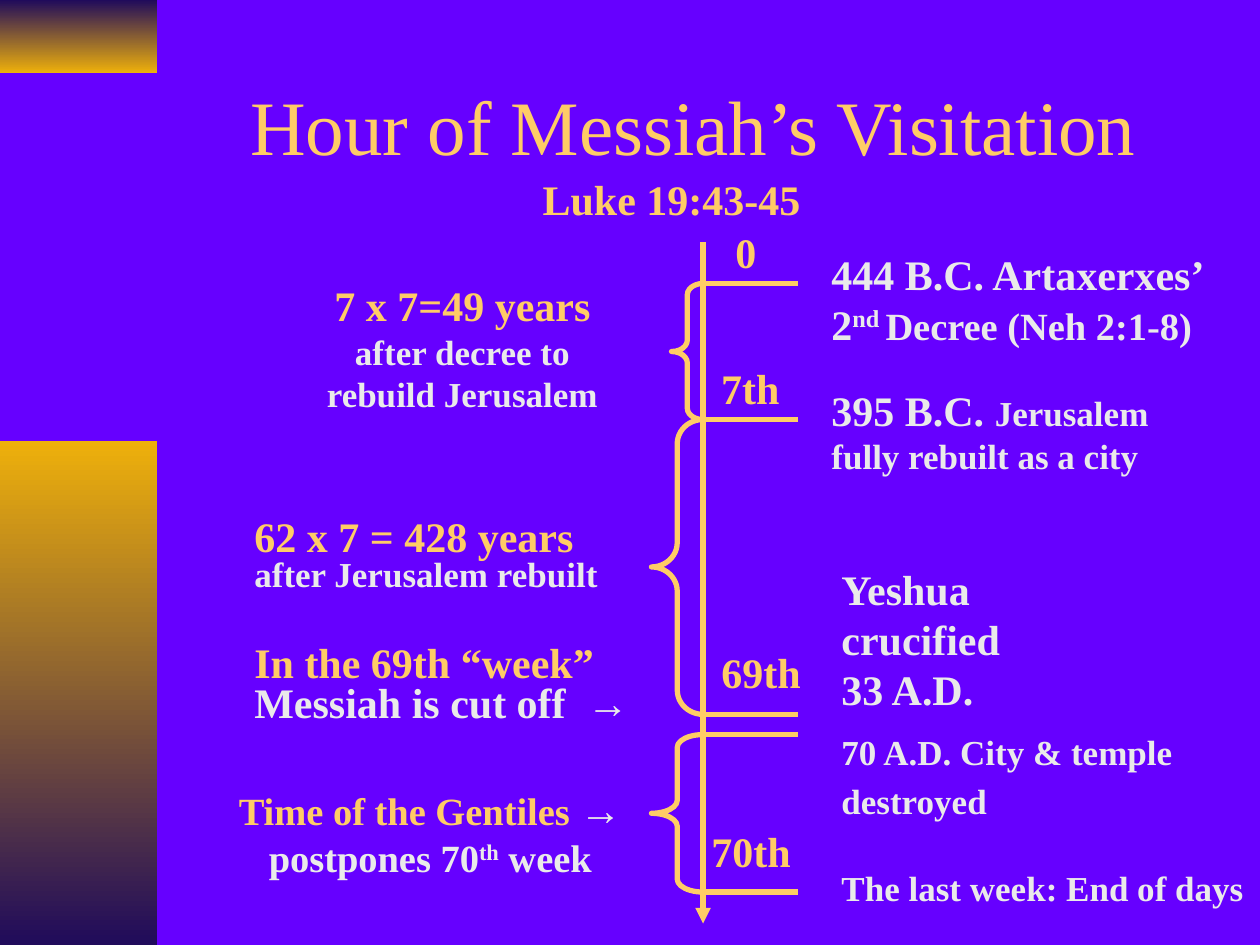
from lxml import etree
from pptx import Presentation
from pptx.dml.color import RGBColor
from pptx.enum import shapes, text
from pptx.oxml.ns import qn
from pptx.util import Inches, Pt

COLORS = {"back": "6600FF", "gold": "FFCC66", "pale": "EAEAEA",
          "amber": "EEB00B", "night": "200B5B"}
FONT = "Times New Roman"
AXIS_X, TICK_END = 5.58, 6.33
AXIS_TOP, AXIS_BOTTOM = 1.92, 7.33

# left, top, width, height, first colour, last colour
BARS = [(0, 0, 1.25, 0.58, "night", "amber"),
        (0, 3.5, 1.25, 4, "amber", "night")]

# left, top, bottom, curvature
PERIODS = [(5.33, 2.25, 3.33, 0.36),
           (5.17, 3.33, 5.67, 0.47),
           (5.17, 5.83, 7.08, 0.25)]

TITLE = (1.33, 0.33, 8.5, 1.32, [("Hour of Messiah’s Visitation ", 44, "gold")])

# left, top, width, height, text
MARKS = [(4.08, 1.33, 2.5, 0.5, "Luke 19:43-45"),
         (5.67, 1.75, 0.5, 0.5, "0"),
         (5.58, 2.83, 0.75, 0.5, "7th"),
         (5.58, 5.08, 0.92, 0.5, "69th"),
         (5.5, 6.5, 0.92, 0.5, "70th")]

# left, top, width, height, runs of (text, size, colour, optional style)
EVENTS = [
    (6.5, 1.92, 3.33, 0.9, [("444 B.C. Artaxerxes’ 2", 24, "pale"),
                            ("nd ", 24, "pale", "super"),
                            ("Decree (Neh 2:1-8)", 22, "pale")]),
    (6.5, 3, 2.75, 0.83, [("395 B.C. ", 24, "pale"),
                          ("Jerusalem fully rebuilt as a city", 20, "pale")]),
    (6.58, 4.42, 1.58, 1.3, [("Yeshua crucified 33 A.D.", 24, "pale")]),
    (6.58, 5.75, 3, 0.83, [("70 A.D. City & temple destroyed", 20, "pale"),
                           (" ", 24, "pale")]),
    (6.58, 6.83, 3.42, 0.43, [("The last week: End of days", 20, "pale")]),
]
CENTERED_SPANS = [
    (2.42, 2.17, 2.5, 1.17, [("7 x 7=49 years ", 24, "gold"),
                             ("after decree to rebuild Jerusalem", 20, "pale")]),
    (1.75, 6.17, 3.33, 0.87, [("Time of the Gentiles ", 22, "gold"),
                              ("→", 24, "pale", "arrow"),
                              (" postpones 70", 22, "pale"),
                              ("th", 22, "pale", "super"),
                              (" week", 22, "pale")]),
]
TIGHT_SPANS = [
    (1.92, 4.08, 3.08, 0.69, [("62 x 7 = 428 years ", 24, "gold"),
                              ("after Jerusalem rebuilt", 20, "pale")]),
    (1.92, 5.08, 3.25, 0.74, [("In the 69th “week”", 24, "gold"),
                              (" Messiah is cut off  ", 24, "pale"),
                              ("→", 24, "pale", "arrow")]),
]


def color(name):
    return RGBColor.from_string(COLORS[name])


def inches(*lengths):
    return [Inches(length) for length in lengths]


def add_text(page, left, top, width, height, runs, centered=False,
             bold=True, spacing=None, anchor=text.MSO_ANCHOR.TOP):
    box = page.shapes.add_textbox(*inches(left, top, width, height))
    frame = box.text_frame
    frame.word_wrap = True
    frame.vertical_anchor = anchor
    para = frame.paragraphs[0]
    para.alignment = text.PP_ALIGN.CENTER if centered else text.PP_ALIGN.LEFT
    para.line_spacing = spacing
    para.font.bold = bold
    for words, size, tone, *style in runs:
        span = para.add_run()
        span.text = words
        span.font.name = "Arial" if "arrow" in style else FONT
        span.font.size = Pt(size)
        span.font.bold = bold
        span.font.color.rgb = color(tone)
        if "super" in style:
            span.font._element.set("baseline", "30000")


def add_bar(page, left, top, width, height, first, last):
    bar = page.shapes.add_shape(shapes.MSO_SHAPE.RECTANGLE,
                                *inches(left, top, width, height))
    bar.shadow.inherit = False
    bar.line.fill.background()
    bar.fill.gradient()
    bar.fill.gradient_angle = 270
    for stop, position, name in zip(bar.fill.gradient_stops, (0, 1), (first, last)):
        stop.position = position
        stop.color.rgb = color(name)


def add_line(page, x1, y1, x2, y2, arrow=False):
    line = page.shapes.add_connector(shapes.MSO_CONNECTOR.STRAIGHT,
                                     *inches(x1, y1, x2, y2))
    line.line.color.rgb = color("gold")
    line.line.width = Pt(3)
    if arrow:
        etree.SubElement(line.line._get_or_add_ln(), qn("a:tailEnd"), type="triangle")
    etree.SubElement(line._element.spPr, qn("a:effectLst"))


def add_brace(page, left, top, bottom, curvature):
    brace = page.shapes.add_shape(shapes.MSO_SHAPE.LEFT_BRACE,
                                  *inches(left, top, AXIS_X - left, bottom - top))
    brace.shadow.inherit = False
    brace.adjustments[0] = curvature
    brace.fill.background()
    brace.line.color.rgb = color("gold")
    brace.line.width = Pt(3)


def main():
    deck = Presentation()
    deck.slide_width, deck.slide_height = inches(10, 7.5)
    page = deck.slides.add_slide(deck.slide_layouts[6])
    page.background.fill.solid()
    page.background.fill.fore_color.rgb = color("back")

    for bar in BARS:
        add_bar(page, *bar)
    add_text(page, *TITLE, centered=True, bold=False, anchor=text.MSO_ANCHOR.MIDDLE)

    add_line(page, AXIS_X, AXIS_TOP, AXIS_X, AXIS_BOTTOM, arrow=True)
    for period in PERIODS:
        add_brace(page, *period)
    for y in sorted({end for period in PERIODS for end in period[1:3]}):
        add_line(page, AXIS_X, y, TICK_END, y)

    for *place, words in MARKS:
        add_text(page, *place, [(words, 24, "gold")], centered=True)
    for event in EVENTS:
        add_text(page, *event)
    for span in CENTERED_SPANS:
        add_text(page, *span, centered=True)
    for span in TIGHT_SPANS:
        add_text(page, *span, spacing=0.8)

    deck.save("out.pptx")


if __name__ == "__main__":
    main()
